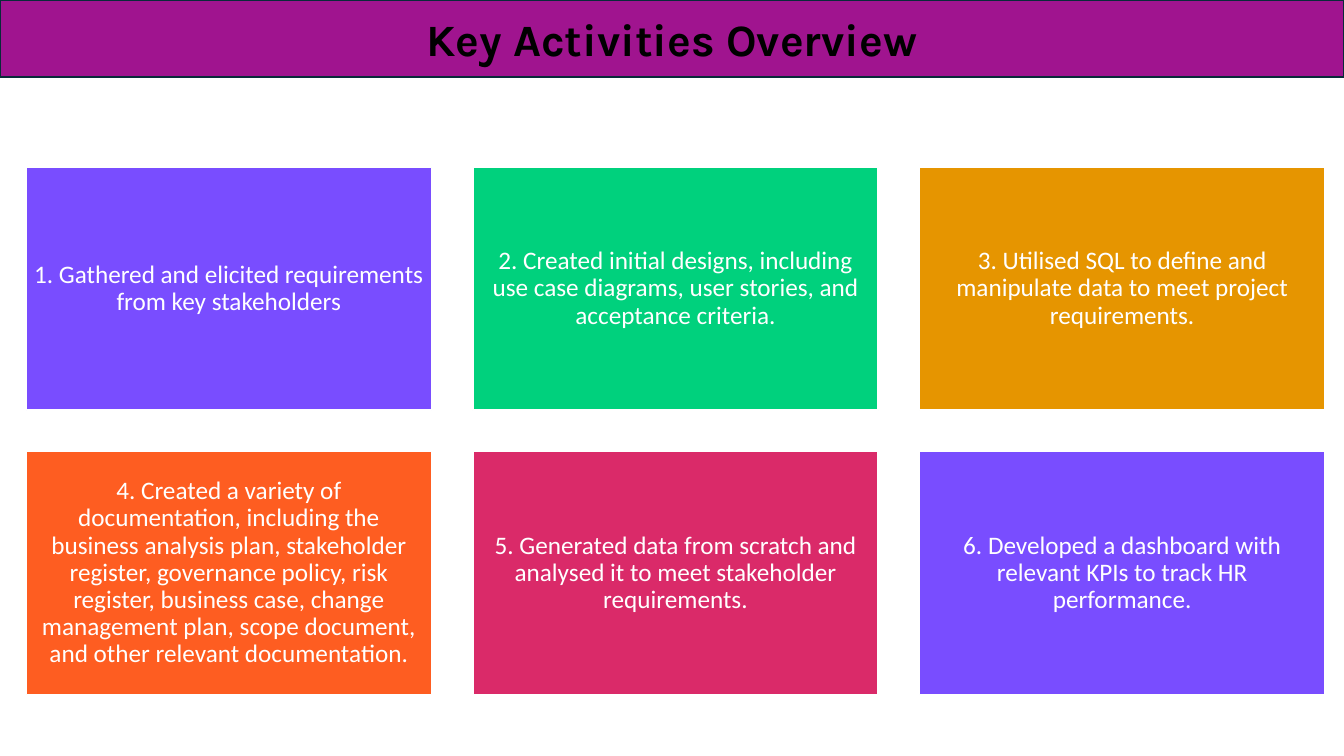
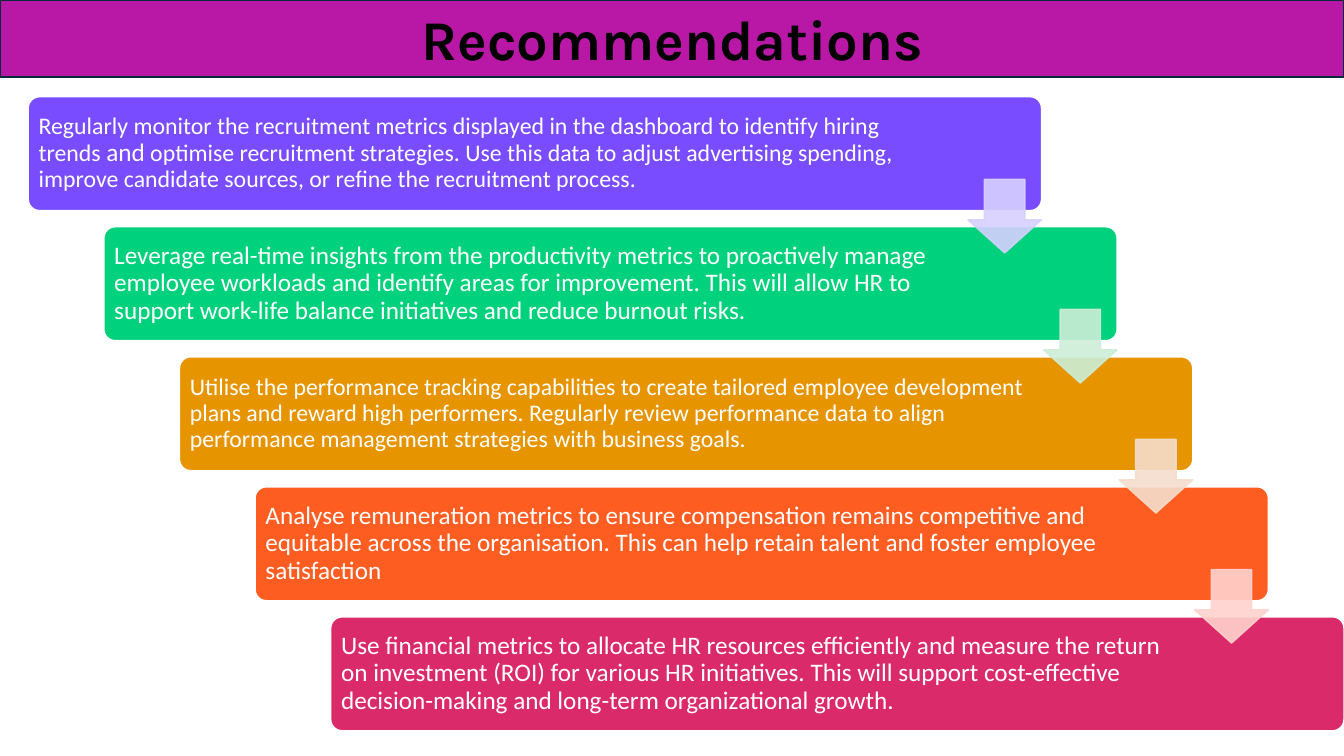
from dataclasses import dataclass

import pptx
import pptx.dml.color
import pptx.enum.shapes
import pptx.enum.text
import pptx.oxml
import pptx.oxml.ns
import pptx.util

Inches = pptx.util.Inches
Pt = pptx.util.Pt
PresetShape = pptx.enum.shapes.MSO_SHAPE
Align = pptx.enum.text.PP_ALIGN


# Colours, fonts and type sizes
@dataclass(frozen=True)
class Theme:
    title_font: str = "Karla"
    body_font: str = "Calibri"
    title_size: int = 32
    large_title_size: int = 40
    body_size: int = 18
    small_body_size: int = 17
    black: str = "000000"
    white: str = "FFFFFF"
    band_line: str = "092A39"
    title_outline: str = "FFC000"
    activities_band: str = "A0148F"
    recommendations_band: str = "B917A6"
    accents: tuple = ("794DFF", "00D17D", "E69500", "FE5D21", "DA2A69")
    arrow_tints: tuple = ("D7D0FF", "CCEED7", "F5DDCC", "FFD2CD")


THEME = Theme()
SLIDE_WIDTH, SLIDE_HEIGHT = 13.33, 7.5
BAND_HEIGHT = 0.76
TEXT_INSET = 0.07

# Slide content
ACTIVITIES = (
    "1. Gathered and elicited requirements from key stakeholders",
    "2. Created initial designs, including use case diagrams, user stories, "
    "and acceptance criteria.",
    "3. Utilised SQL to define and manipulate data to meet project requirements.",
    "4. Created a variety of documentation, including the business analysis plan, "
    "stakeholder register, governance policy, risk register, business case, change "
    "management plan, scope document, and other relevant documentation.",
    "5. Generated data from scratch and analysed it to meet stakeholder requirements.",
    "6. Developed a dashboard with relevant KPIs to track HR performance.",
)

# Each recommendation: right inset, then its spans as (text, size)
RECOMMENDATIONS = (
    (1.35, (
        ("Regularly monitor the recruitment metrics displayed in the dashboard to "
         "identify hiring trends ", THEME.small_body_size),
        ("and", THEME.body_size),
        (" optimise recruitment strategies. Use this data to adjust advertising "
         "spending, improve candidate sources, or refine the recruitment process.",
         THEME.small_body_size),
    )),
    (1.55, ((
        "Leverage real-time insights from the productivity metrics to proactively "
        "manage employee workloads and identify areas for improvement. This will "
        "allow HR to support work-life balance initiatives and reduce burnout risks.",
        THEME.body_size),)),
    (1.55, ((
        "Utilise the performance tracking capabilities to create tailored employee "
        "development plans and reward high performers. Regularly review performance "
        "data to align performance management strategies with business goals.",
        THEME.small_body_size),)),
    (1.55, ((
        "Analyse remuneration metrics to ensure compensation remains competitive and "
        "equitable across the organisation. This can help retain talent and foster "
        "employee satisfaction", THEME.body_size),)),
    (1.55, ((
        "Use financial metrics to allocate HR resources efficiently and measure the "
        "return on investment (ROI) for various HR initiatives. This will support "
        "cost-effective decision-making and long-term organizational growth.",
        THEME.body_size),)),
)


# Formatting helpers
def set_values(target, values):
    for name, value in values.items():
        setattr(target, name, value)


def place(shape, left, top, width, height):
    lengths = {"left": left, "top": top, "width": width, "height": height}
    set_values(shape, {name: Inches(value) for name, value in lengths.items()})


def paint(shape, fill, line, line_width):
    shape.fill.solid()
    shape.fill.fore_color.rgb = pptx.dml.color.RGBColor.from_string(fill)
    shape.line.color.rgb = pptx.dml.color.RGBColor.from_string(line)
    shape.line.width = Pt(line_width)


def set_opacity(shape, percent):
    """Apply one opacity to the fill and line of a shape."""
    for colour in shape._element.spPr.iter(pptx.oxml.ns.qn("a:srgbClr")):
        alpha = pptx.oxml.parse_xml(
            f'<a:alpha {pptx.oxml.ns.nsdecls("a")} val="{percent * 1000}"/>')
        colour.append(alpha)


def outline_text(span, colour, width):
    outline = pptx.oxml.parse_xml(
        f'<a:ln {pptx.oxml.ns.nsdecls("a")} w="{Pt(width)}"><a:solidFill>'
        f'<a:srgbClr val="{colour}"/></a:solidFill></a:ln>')
    span.font._element.insert(0, outline)


def write_spans(shape, spans, font, colour, align, line_spacing, bold=False):
    frame = shape.text_frame
    set_values(frame, {
        "word_wrap": True,
        "auto_size": pptx.enum.text.MSO_AUTO_SIZE.NONE,
        "vertical_anchor": pptx.enum.text.MSO_ANCHOR.MIDDLE,
    })
    para = frame.paragraphs[0]
    set_values(para, {"alignment": align, "line_spacing": line_spacing})
    for text, size in spans:
        span = para.add_run()
        span.text = text
        set_values(span.font, {"name": font, "size": Pt(size), "bold": bold})
        span.font.color.rgb = pptx.dml.color.RGBColor.from_string(colour)
    return para


# Slide elements
def add_page(deck, title, size, band_colour):
    """Add a slide whose title placeholder forms the top band."""
    page = deck.slides.add_slide(deck.slide_layouts.get_by_name("Title Only"))
    band = page.shapes.title
    place(band, 0, 0, SLIDE_WIDTH, BAND_HEIGHT)
    paint(band, band_colour, THEME.band_line, 1.5)
    para = write_spans(band, [(title, size)], THEME.title_font, THEME.black,
                       Align.CENTER, 1.0, bold=True)
    outline_text(para.runs[0], THEME.title_outline, 0.75)
    return page


def add_preset(page, preset, bounds, fill, line, adjustments=()):
    shape = page.shapes.add_shape(preset, 0, 0, 0, 0)
    place(shape, *bounds)
    shape.shadow.inherit = False
    paint(shape, fill, line, 1)
    for index, value in enumerate(adjustments):
        shape.adjustments[index] = value
    return shape


def add_panel(page, preset, bounds, fill, spans, align,
              right_inset=TEXT_INSET, adjustments=()):
    panel = add_preset(page, preset, bounds, fill, THEME.white, adjustments)
    insets = {"left": TEXT_INSET, "top": TEXT_INSET,
              "right": right_inset, "bottom": TEXT_INSET}
    set_values(panel.text_frame, {
        f"margin_{side}": Inches(value) for side, value in insets.items()})
    write_spans(panel, spans, THEME.body_font, THEME.white, align, 0.9)


def add_card_grid(page, texts):
    columns, gap = 3, 0.41
    left, top, width, height = 0.26, 1.66, 4.02, 2.41
    for index, text in enumerate(texts):
        row, column = divmod(index, columns)
        bounds = (left + column * (width + gap), top + row * (height + gap),
                  width, height)
        fill = THEME.accents[index % len(THEME.accents)]
        add_panel(page, PresetShape.RECTANGLE, bounds, fill,
                  [(text, THEME.body_size)], Align.CENTER)


def add_staircase(page, steps):
    left, top, width, height = 0.28, 0.96, 10.05, 1.13
    shift, drop = 0.75, 1.29
    arrow_size, arrow_drop = 0.73, 0.82
    for index, (right_inset, spans) in enumerate(steps):
        bounds = (left + index * shift, top + index * drop, width, height)
        add_panel(page, PresetShape.ROUNDED_RECTANGLE, bounds,
                  THEME.accents[index], spans, Align.LEFT, right_inset, (0.1,))
    # Arrows lie over the steps, flush with each right edge
    for index, tint in enumerate(THEME.arrow_tints):
        bounds = (left + index * shift + width - arrow_size,
                  top + index * drop + arrow_drop, arrow_size, arrow_size)
        arrow = add_preset(page, PresetShape.DOWN_ARROW, bounds, tint, tint,
                           (0.55, 0.45))
        set_opacity(arrow, 90)


def main():
    deck = pptx.Presentation()
    set_values(deck, {"slide_width": Inches(SLIDE_WIDTH),
                      "slide_height": Inches(SLIDE_HEIGHT)})

    page = add_page(deck, "Key Activities Overview", THEME.title_size,
                    THEME.activities_band)
    add_card_grid(page, ACTIVITIES)

    page = add_page(deck, "Recommendations", THEME.large_title_size,
                    THEME.recommendations_band)
    add_staircase(page, RECOMMENDATIONS)

    deck.save("out.pptx")


if __name__ == "__main__":
    main()
